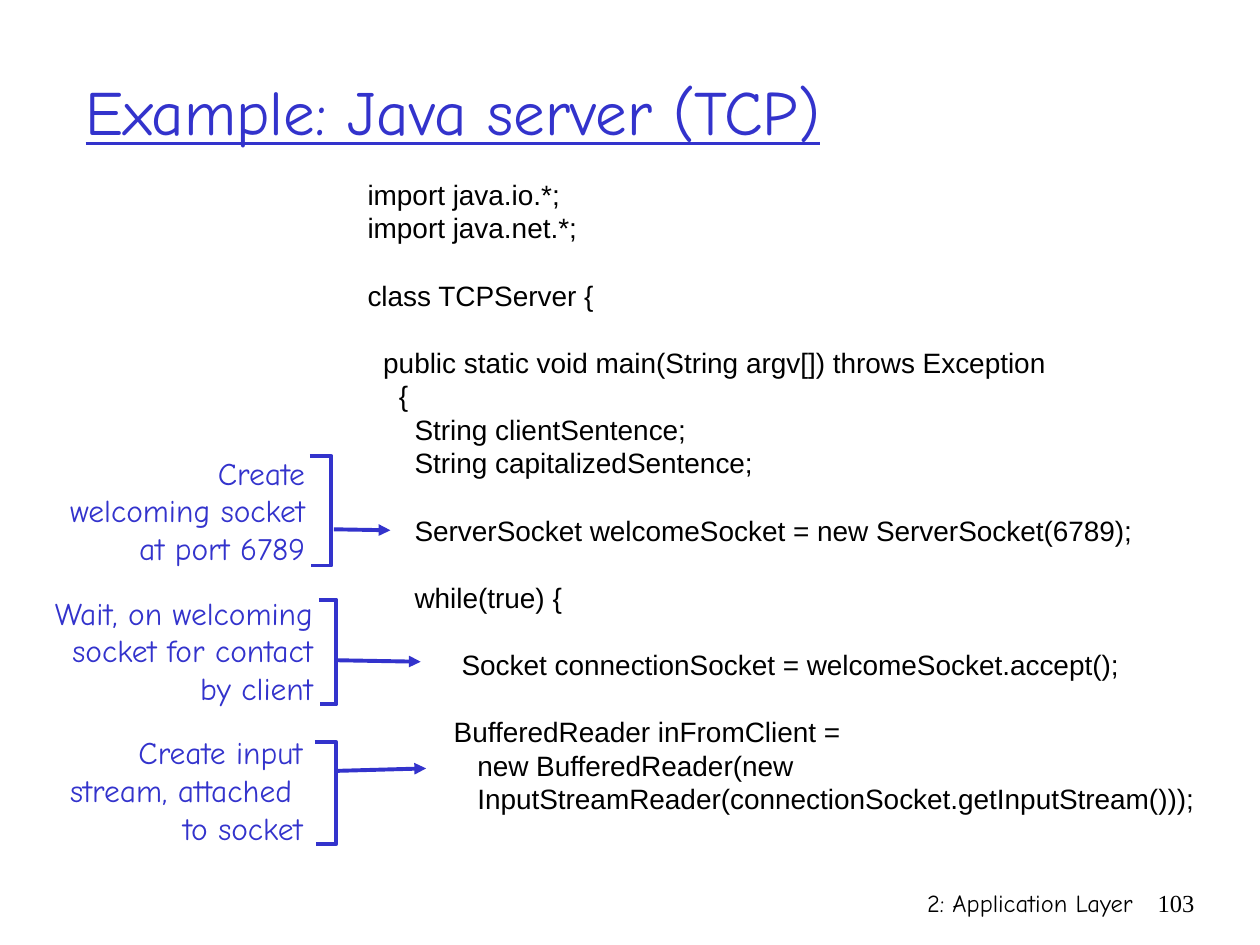
from dataclasses import dataclass

from lxml.etree import SubElement
from pptx import Presentation
from pptx.dml.color import RGBColor
from pptx.enum.shapes import MSO_CONNECTOR
from pptx.enum.text import MSO_ANCHOR, PP_ALIGN
from pptx.oxml.ns import qn
from pptx.util import Cm, Pt


@dataclass(frozen=True)
class Theme:
    """Colours, fonts and sizes of the slide."""
    accent: RGBColor = RGBColor(0x33, 0x33, 0xCC)
    ink: RGBColor = RGBColor(0, 0, 0)
    hand: str = "Comic Neue"
    code: str = "Arial"
    number: str = "Times New Roman"
    title_size: int = 36
    note_size: int = 18
    code_size: int = 16
    footer_size: int = 14
    leading: float = 1.2
    space_width: float = 0.28
    line_width: float = 2.25


THEME = Theme()

CODE_LINES = [
    (0, 0, "import java.io.*;"),
    (0, 0, "import java.net.*;"),
    (1, 0, "class TCPServer {"),
    (1, 2, "public static void main(String argv[]) throws Exception"),
    (0, 4, "{"),
    (0, 6, "String clientSentence;"),
    (0, 6, "String capitalizedSentence;"),
    (1, 6, "ServerSocket welcomeSocket = new ServerSocket(6789);"),
    (1, 6, "while(true) {"),
    (1, 12, "Socket connectionSocket = welcomeSocket.accept();"),
    (1, 11, "BufferedReader inFromClient ="),
    (0, 14, "new BufferedReader(new"),
    (0, 14, "InputStreamReader(connectionSocket.getInputStream()));"),
]

NOTES = [
    (["Create", "welcoming socket", "at port 6789"],
     (1.14, 5.26), (6.25, 9.19, 6.68, 11.4), (6.73, 10.67, 7.87, 10.69)),
    (["Wait, on welcoming", "socket for contact", "by client"],
     (0.79, 5.77), (6.43, 12.09, 6.78, 14.2), (6.81, 13.31, 8.48, 13.34)),
    (["Create input", "stream, attached ", "to socket"],
     (1.14, 5.21), (6.35, 14.96, 6.78, 17.02), (6.78, 15.54, 8.59, 15.49)),
]
NOTE_TOP, NOTE_STEP, NOTE_HEIGHT = 9.02, 2.82, 2.54


def style_paragraph(para, face, size, color, align=PP_ALIGN.LEFT):
    """Give a paragraph its font, alignment and leading."""
    para.alignment = align
    para.line_spacing = Pt(size * THEME.leading)
    para.font.name = face
    para.font.size = Pt(size)
    para.font.color.rgb = color


def add_title(page, text):
    """Place the underlined title in the title placeholder."""
    title = page.shapes.title
    title.left, title.top, title.width, title.height = map(Cm, (1.47, 0.64, 21.59, 3.18))
    title.text_frame.vertical_anchor = MSO_ANCHOR.MIDDLE
    title.text_frame.text = text
    para = title.text_frame.paragraphs[0]
    style_paragraph(para, THEME.hand, THEME.title_size, THEME.accent)
    para.font.underline = True


def add_text(page, place, lines, face, size, color, align=PP_ALIGN.LEFT,
             anchor=MSO_ANCHOR.TOP, wrap=False):
    """Add a text box with one paragraph per line and return its paragraphs."""
    frame = page.shapes.add_textbox(*map(Cm, place)).text_frame
    frame.word_wrap = wrap
    frame.vertical_anchor = anchor
    frame.text = "\n".join(lines)
    for para in frame.paragraphs:
        style_paragraph(para, face, size, color, align)
    return frame.paragraphs


def add_code(page):
    """Add the program listing, with indents and gaps set on its paragraphs."""
    size = THEME.code_size
    paragraphs = add_text(page, (7.16, 3.45, 17.3, 14.48), [text for _, _, text in CODE_LINES],
                          THEME.code, size, THEME.ink)
    for para, (gap, indent, _) in zip(paragraphs, CODE_LINES):
        para.space_before = Pt(gap * size * THEME.leading)
        properties = para._p.get_or_add_pPr()
        properties.set("marL", str(Pt(indent * size * THEME.space_width)))
        properties.set("indent", "0")


def style_line(line):
    """Give a line the accent colour and the common width."""
    line.color.rgb = THEME.accent
    line.width = Pt(THEME.line_width)


def add_bracket(page, left, top, right, bottom):
    """Draw an open bracket that faces left."""
    builder = page.shapes.build_freeform(Cm(left), Cm(top))
    corners = [(right, top), (right, bottom), (left + 0.03, bottom)]
    builder.add_line_segments([(Cm(x), Cm(y)) for x, y in corners], close=False)
    bracket = builder.convert_to_shape()
    bracket.shadow.inherit = False
    bracket.fill.background()
    style_line(bracket.line)


def add_arrow(page, *ends):
    """Draw a straight arrow."""
    arrow = page.shapes.add_connector(MSO_CONNECTOR.STRAIGHT, *map(Cm, ends))
    style_line(arrow.line)
    SubElement(arrow.line._get_or_add_ln(), qn("a:tailEnd"), type="triangle")
    SubElement(arrow._element.spPr, qn("a:effectLst"))


def add_note(page, top, lines, span, bracket, arrow):
    """Add a note with its bracket and the arrow to the code."""
    left, width = span
    add_text(page, (left, top, width, NOTE_HEIGHT), lines, THEME.hand, THEME.note_size,
             THEME.accent, PP_ALIGN.RIGHT, MSO_ANCHOR.MIDDLE)
    add_bracket(page, *bracket)
    add_arrow(page, *arrow)


def add_footer(page, left, width, text, face):
    """Add one right-aligned piece of the footer."""
    add_text(page, (left, 17.78, width, 1.27), [text], face, THEME.footer_size,
             THEME.ink, PP_ALIGN.RIGHT, wrap=True)


def main():
    """Build the slide and save it."""
    deck = Presentation()
    deck.slide_width, deck.slide_height = Cm(25.4), Cm(19.05)
    page = deck.slides.add_slide(deck.slide_layouts.get_by_name("Title Only"))
    add_footer(page, 15.04, 8.05, "2: Application Layer", THEME.hand)
    add_footer(page, 23.06, 1.27, "103", THEME.number)
    add_title(page, "Example: Java server (TCP)")
    add_code(page)
    for row, note in enumerate(NOTES):
        add_note(page, NOTE_TOP + row * NOTE_STEP, *note)
    deck.save("out.pptx")


if __name__ == "__main__":
    main()
